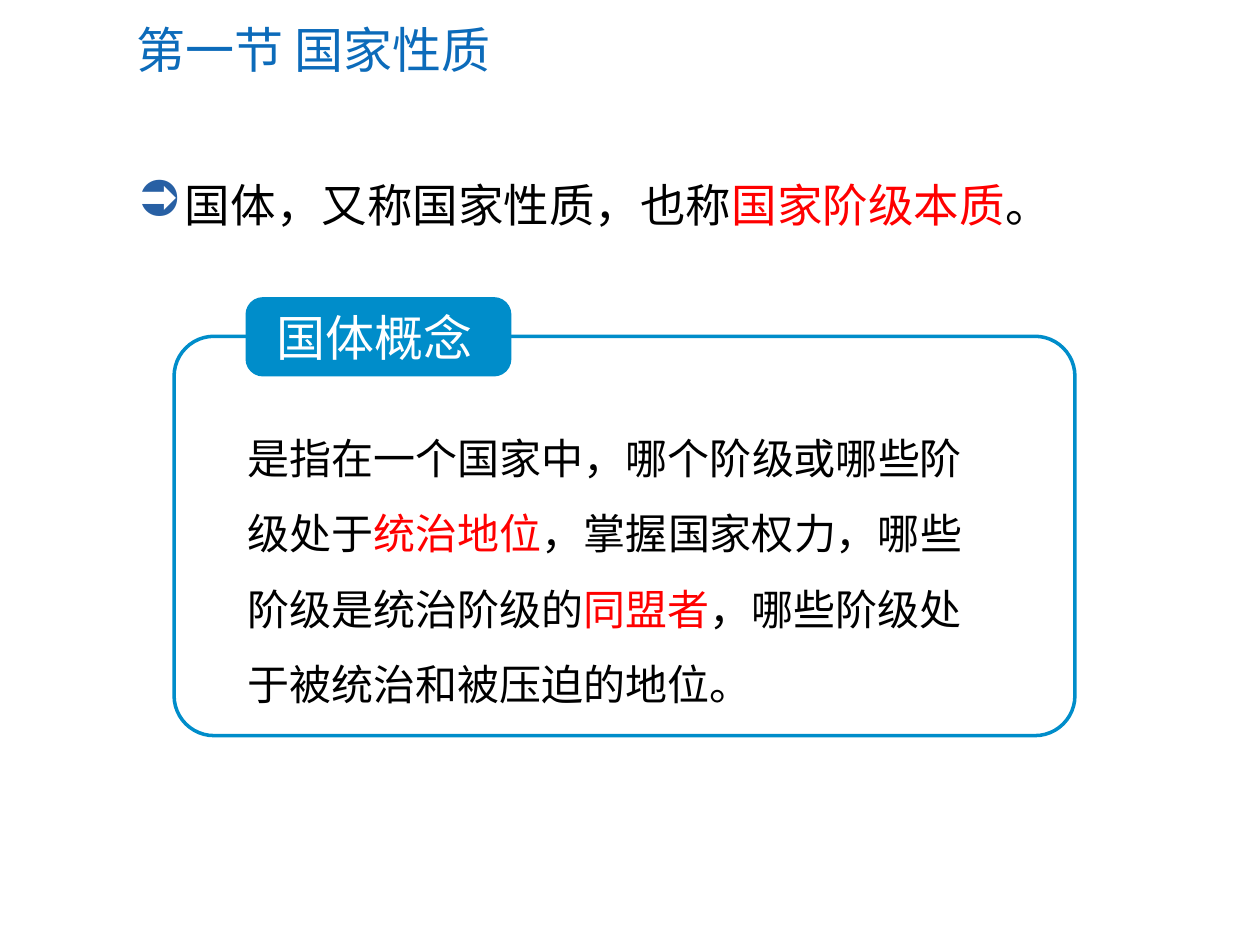
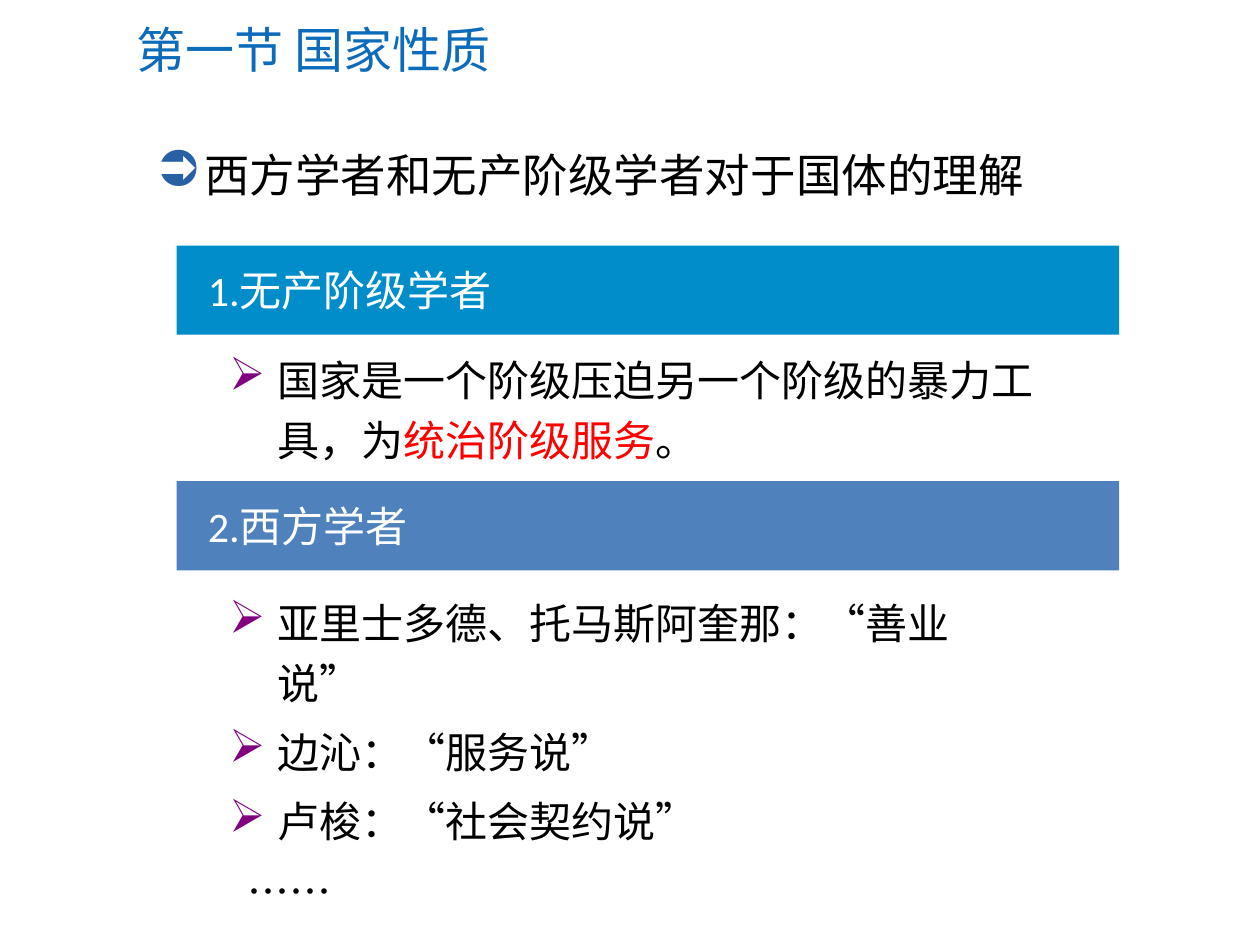
from pptx import Presentation, util as u
from pptx.dml import color
from pptx.enum import shapes, text, lang
from lxml import etree

NS = "http://schemas.openxmlformats.org/drawingml/2006/main"
CALI, NOTO = "Calibri", "Noto Sans CJK SC"
BLUE, STEEL, RED = "008DCA", "4F81BD", "FF0000"
BLACK, WHITE = "000000", "FFFFFF"
RING, DART = ("➲", "2860A4"), ("➢", "800080")
HANG = 0.97


def tint(code):
    return color.RGBColor.from_string(code)


def put(shape, lines, size, font=CALI, ink=BLACK, lead=None):
    """Write (bullet, indent, text) lines; parts between bars turn red."""
    frame = shape.text_frame
    frame.word_wrap = True
    for i, (mark, left, words) in enumerate(lines):
        para = frame.paragraphs[0] if i == 0 else frame.add_paragraph()
        para.alignment = text.PP_ALIGN.LEFT
        if lead:
            para.line_spacing = lead
        if i:
            para.space_before = u.Pt(5)
        props = para._p.get_or_add_pPr()
        props.set("marL", str(u.Cm(left)))
        props.set("indent", str(-u.Cm(left) if mark else 0))
        if mark:
            tone = etree.SubElement(props, f"{{{NS}}}buClr")
            etree.SubElement(tone, f"{{{NS}}}srgbClr", val=mark[1])
            etree.SubElement(props, f"{{{NS}}}buSzPct", val="110000")
            etree.SubElement(props, f"{{{NS}}}buChar", char=mark[0])
        for n, part in enumerate(words.split("|")):
            run = para.add_run()
            run.text = part
            run.font.size = u.Pt(size)
            run.font.name = font
            run.font.language_id = lang.MSO_LANGUAGE_ID.SIMPLIFIED_CHINESE
            run.font.color.rgb = tint(RED if n % 2 else ink)
            etree.SubElement(run.font._element, f"{{{NS}}}ea", typeface=NOTO)


deck = Presentation()
deck.slide_width, deck.slide_height = u.Cm(25.4), u.Cm(19.05)

# Title and lead line of both slides
leads = [
    (2.51, 3.45, 21.18, "国体，又称国家性质，也称|国家阶级本质|。"),
    (2.9, 2.84, 19.43, "西方学者和无产阶级学者对于国体的理解"),
]
pages = []
for x, y, wide, words in leads:
    page = deck.slides.add_slide(deck.slide_layouts[6])
    pages.append(page)
    head = page.shapes.add_textbox(u.Cm(2.51), u.Cm(0.25), u.Cm(22.15), u.Cm(1.47))
    head.text_frame.vertical_anchor = text.MSO_ANCHOR.MIDDLE
    put(head, [(None, 0, "第一节 国家性质")], 28, ink="0C6BBA")
    box = page.shapes.add_textbox(u.Cm(x), u.Cm(y), u.Cm(wide), u.Cm(1.37))
    put(box, [(RING, HANG, words)], 26)
first, second = pages

# Concept panel with its label
group = first.shapes.add_group_shape()
ROUND = shapes.MSO_SHAPE.ROUNDED_RECTANGLE
panel = group.shapes.add_shape(ROUND, u.Cm(3.51), u.Cm(6.78), u.Cm(18.16), u.Cm(8.05))
panel.adjustments[0] = 0.1
panel.fill.solid()
panel.fill.fore_color.rgb = tint(WHITE)
fill = panel._element.spPr.find(f".//{{{NS}}}srgbClr")
etree.SubElement(fill, f"{{{NS}}}alpha", val="90000")
panel.line.color.rgb = tint(BLUE)
panel.line.width = u.Pt(2)
label = group.shapes.add_shape(ROUND, u.Cm(4.95), u.Cm(5.99), u.Cm(5.36), u.Cm(1.6))
label.adjustments[0] = 0.22
label.fill.solid()
label.fill.fore_color.rgb = tint(BLUE)
label.line.fill.background()
frame = label.text_frame
frame.margin_left = frame.margin_right = u.Cm(0.53)
frame.margin_top = frame.margin_bottom = u.Cm(0.08)
put(label, [(None, 0, "国体概念")], 28, ink=WHITE)
for item in (panel, label):
    item.shadow.inherit = False

# Concept text
body = first.shapes.add_textbox(u.Cm(4.75), u.Cm(8.08), u.Cm(15.7), u.Cm(6.4))
put(body, [(None, 0, "是指在一个国家中，哪个阶级或哪些阶级处于|统治地位|，掌握国家权力，"
            "哪些阶级是统治阶级的|同盟者|，哪些阶级处于被统治和被压迫的地位。")],
    24, NOTO, lead=1.5)

# Bars of the two schools
for y, shade, words in [(4.95, BLUE, "1.无产阶级学者"), (9.7, STEEL, "2.西方学者")]:
    bar = second.shapes.add_shape(
        shapes.MSO_SHAPE.RECTANGLE, u.Cm(3.56), u.Cm(y), u.Cm(19), u.Cm(1.8))
    bar.shadow.inherit = False
    bar.fill.solid()
    bar.fill.fore_color.rgb = tint(shade)
    bar.line.fill.background()
    put(bar, [(None, 0.38, words)], 24, ink=WHITE)

# Views of each school
views = [
    (6.81, 17.35, 2.72, [
        (DART, HANG, "国家是一个阶级压迫另一个阶级的暴力工具，为|统治阶级服务|。")]),
    (11.71, 16, 5.79, [
        (DART, HANG, "亚里士多德、托马斯阿奎那：“善业说”"),
        (DART, HANG, "边沁：“服务说”"),
        (DART, HANG, "卢梭：“社会契约说”"),
        (None, 0.38, "……")]),
]
for y, wide, high, lines in views:
    box = second.shapes.add_textbox(u.Cm(4.37), u.Cm(y), u.Cm(wide), u.Cm(high))
    put(box, lines, 24, NOTO, lead=1.2)

deck.save("out.pptx")
